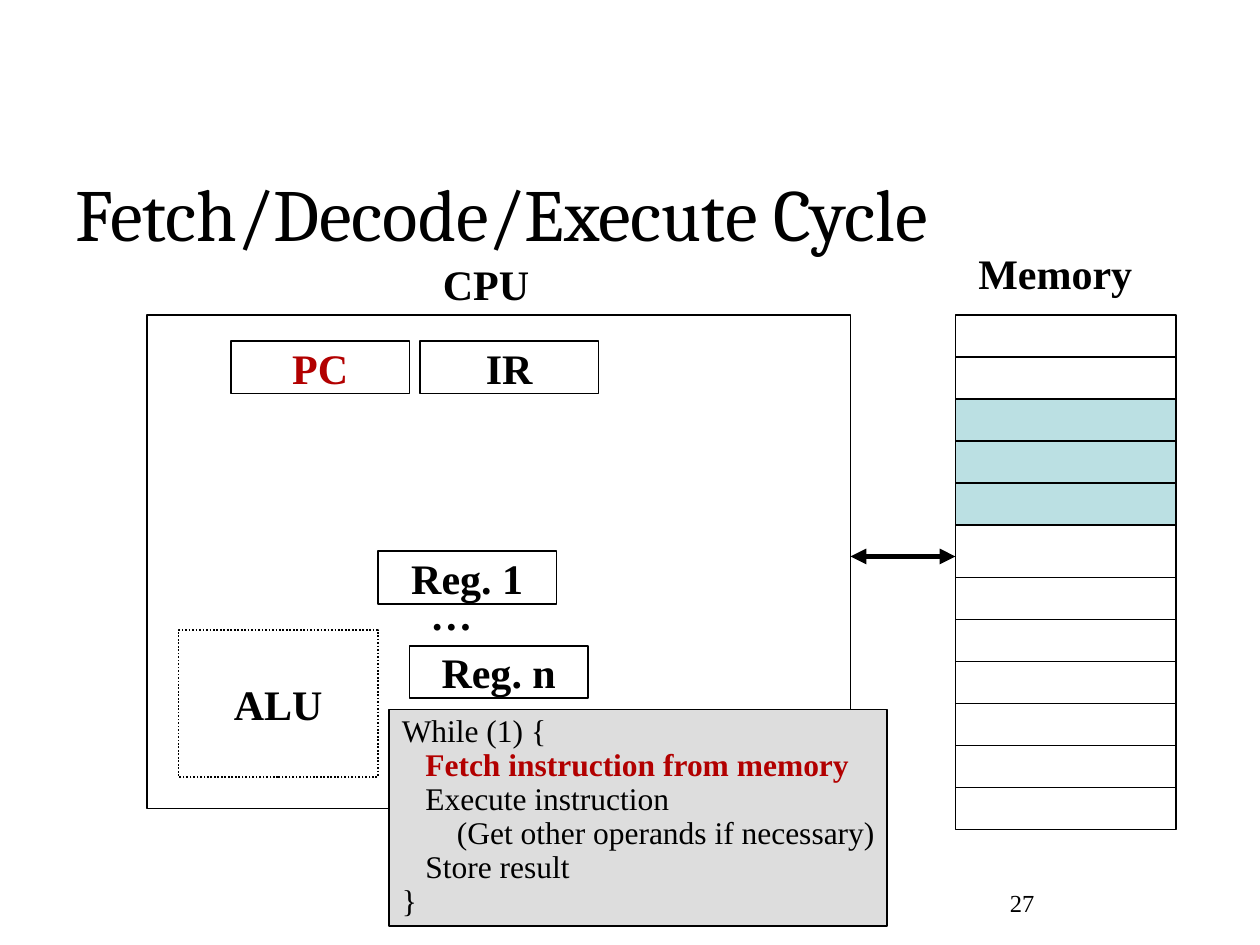
from lxml import etree
from pptx import Presentation
from pptx import util as u
from pptx.dml.color import RGBColor
from pptx.enum import dml, shapes, text
from pptx.oxml.ns import qn

BLACK = RGBColor(0x00, 0x00, 0x00)
RED = RGBColor(0xB2, 0x00, 0x00)
BLUE = RGBColor(0xBB, 0xE0, 0xE3)
GREY = RGBColor(0xDD, 0xDD, 0xDD)
SERIF = "Times New Roman"
LEFT, CENTER = text.PP_ALIGN.LEFT, text.PP_ALIGN.CENTER
TOP, MIDDLE = text.MSO_ANCHOR.TOP, text.MSO_ANCHOR.MIDDLE

# The diagram lies on a grid of 12 units to the inch.
UNIT = u.Inches(1) / 12
REG_W, REG_H = 17, 5
CPU = (14, 30, 67, 47)
MEMORY = (91, 30, 21, 49)
PROGRAM = (91, 38, 21, 12)
ALU = (17, 60, 19, 14)
ROW_H, BUS_ROW, BUS_ROW_H, ROWS = 4, 5, 5, 12
BUS_Y = 53

TITLE = "Fetch/Decode/Execute Cycle"
REGISTERS = [  # name, left, top, colour
    ("PC", 22, 32.5, RED),
    ("IR", 40, 32.5, BLACK),
    ("Reg. n", 39, 61.5, BLACK),
    ("Reg. 1", 36, 52.5, BLACK),
]
LABELS = [  # words, left, top, width
    ("…", 39.8, 55.5, 6.4),
    ("CPU", 41, 24, 10.6),
    ("Memory", 92, 23, 18),
]
CODE = [  # words, indent in spaces, format
    ("While (1) {", 0, {}),
    ("Fetch instruction from memory", 3, {"color": RED, "bold": True}),
    ("Execute instruction", 3, {}),
    ("(Get other operands if necessary)", 7, {}),
    ("Store result", 3, {}),
    ("}", 0, {}),
]
SPACE = u.Pt(4.5)  # width of a space at 18 pt

prs = Presentation()
prs.slide_width, prs.slide_height = u.Inches(10), u.Inches(7.5)
slide = prs.slides.add_slide(prs.slide_layouts[5])
sp_tree = slide.shapes


def grid(*values):
    """Turn grid units into lengths."""
    return [u.Emu(round(v * UNIT)) for v in values]


def write(p, words, size, name=SERIF, color=BLACK, bold=False):
    """Add one formatted run to a paragraph."""
    r = p.add_run()
    r.text = words
    for key, value in {"size": u.Pt(size), "name": name, "bold": bold}.items():
        setattr(r.font, key, value)
    r.font.color.rgb = color


def frame(sp, align=LEFT, anchor=TOP, wrap=False, inset=(0.1, 0.05)):
    """Set up a text frame and return its first paragraph."""
    tf = sp.text_frame
    side, edge = (u.Inches(i) for i in inset)
    settings = {"word_wrap": wrap, "vertical_anchor": anchor,
                "margin_left": side, "margin_right": side,
                "margin_top": edge, "margin_bottom": edge}
    for key, value in settings.items():
        setattr(tf, key, value)
    tf.paragraphs[0].alignment = align
    return tf.paragraphs[0]


def box(place, fill=None, dash=None):
    """Add an outlined rectangle."""
    sp = sp_tree.add_shape(shapes.MSO_SHAPE.RECTANGLE, *place)
    sp.shadow.inherit = False
    if fill is None:
        sp.fill.background()
    else:
        sp.fill.solid()
        sp.fill.fore_color.rgb = fill
    sp.line.color.rgb = BLACK
    sp.line.width = u.Pt(1)
    if dash:
        sp.line.dash_style = dash
    return sp


def named_box(name, place, color=BLACK, dash=None):
    """Add a rectangle with a bold name in its middle."""
    sp = box(place, dash=dash)
    write(frame(sp, CENTER, MIDDLE, inset=(0, 0)), name, 24, color=color, bold=True)


def line(x1, y1, x2, y2, width=1, arrows=False):
    """Add a straight line in grid units, with arrowheads if asked."""
    cx = sp_tree.add_connector(shapes.MSO_CONNECTOR.STRAIGHT, *grid(x1, y1, x2, y2))
    cx.line.color.rgb = BLACK
    cx.line.width = u.Pt(width)
    if arrows:
        ln = cx.line._get_or_add_ln()
        for tag in ("a:headEnd", "a:tailEnd"):
            etree.SubElement(ln, qn(tag), type="triangle")
    etree.SubElement(cx._element.spPr, qn("a:effectLst"))


def label(words, place, size=24, bold=True, wrap=False):
    """Add a free-standing text."""
    write(frame(sp_tree.add_textbox(*place), wrap=wrap), words, size, bold=bold)


box(grid(*PROGRAM), BLUE)

title = sp_tree.title
title.left, title.top, title.width, title.height = (
    u.Inches(v) for v in (0.5, 1.36, 7.92, 0.73))
p = frame(title, LEFT, MIDDLE, wrap=True)
p.line_spacing = 0.9
write(p, TITLE, 42, "Cambria")

for name, x, y, color in REGISTERS:
    named_box(name, grid(x, y, REG_W, REG_H), color)
named_box("ALU", grid(*ALU), dash=dml.MSO_LINE.ROUND_DOT)
box(grid(*CPU))
box(grid(*MEMORY))

cpu_right = CPU[0] + CPU[2]
mem_left, y, mem_width, _ = MEMORY
line(cpu_right, BUS_Y, mem_left, BUS_Y, 3, arrows=True)
for row in range(ROWS - 1):
    y += BUS_ROW_H if row == BUS_ROW else ROW_H
    line(mem_left, y, mem_left + mem_width, y)

for words, x, y, w in LABELS:
    label(words, grid(x, y, w, 6))

code = box([u.Inches(v) for v in (3.09, 5.63, 3.95, 1.72)], GREY)
p = frame(code)
for i, (words, indent, style) in enumerate(CODE):
    if i:
        p = code.text_frame.add_paragraph()
    p.alignment, p.line_spacing = LEFT, 0.9
    p._p.get_or_add_pPr().set("marL", str(indent * SPACE))
    write(p, words, 18, **style)

label("27", grid(95, 84, 25, 6), 14, bold=False, wrap=True)

prs.save("out.pptx")
